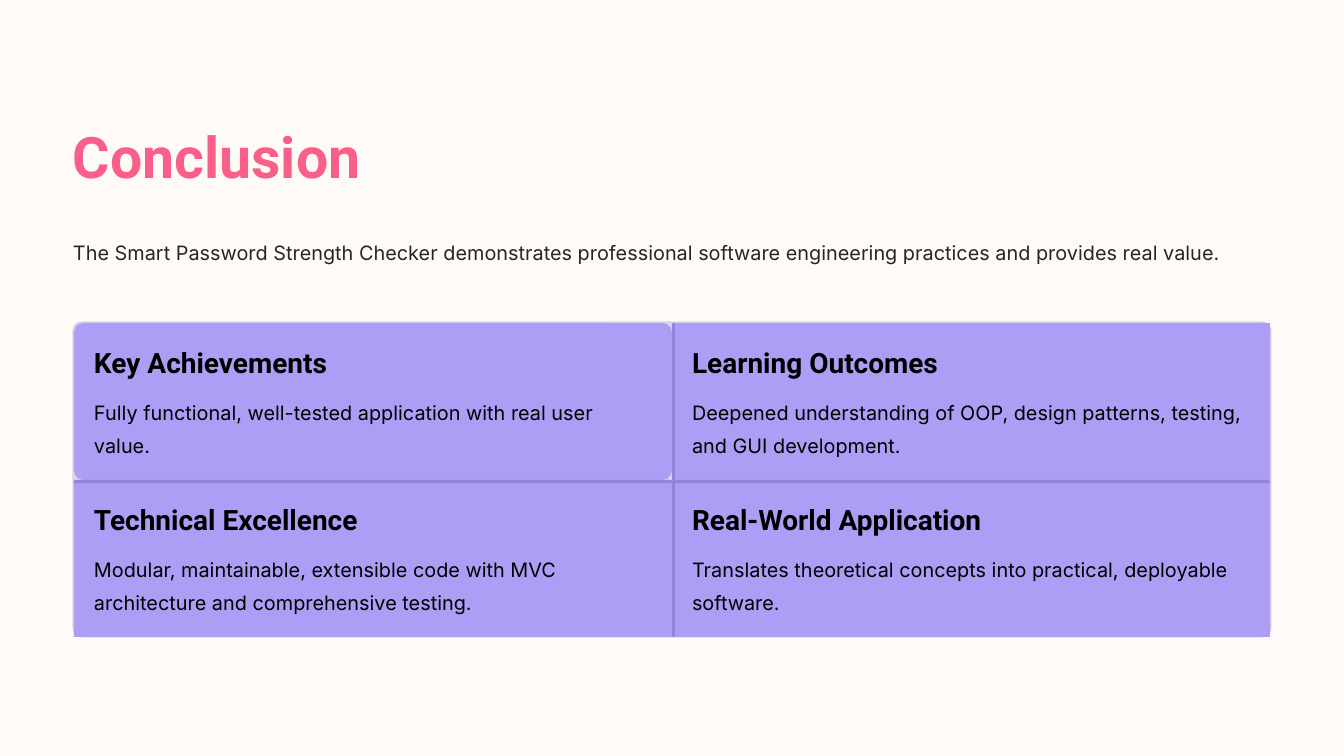
from pptx import Presentation
from pptx import util as u
from pptx.dml.color import RGBColor
from pptx.enum import shapes, text

COLORS = {
    "background": "FDFAF7",
    "title": "F95F88",
    "intro": "272525",
    "panel": "E0D7F4",
    "border": "C6BDDA",
    "cell": "AC9EF5",
    "divider": "9284DB",
    "ink": "000000",
}


def px(value):
    return u.Emu(round(value * 914400 / 84))


def color(name):
    return RGBColor.from_string(COLORS[name])


class SlideBuilder:
    heading_font = "Roboto"
    body_font = "Inter"

    def __init__(self, slide):
        self.slide = slide
        slide.background.fill.solid()
        slide.background.fill.fore_color.rgb = color("background")

    def block(self, left, top, width, height, fill, corner=0, border=None):
        kind = shapes.MSO_SHAPE.ROUNDED_RECTANGLE if corner else shapes.MSO_SHAPE.RECTANGLE
        block = self.slide.shapes.add_shape(kind, px(left), px(top), px(width), px(height))
        block.shadow.inherit = False
        block.fill.solid()
        block.fill.fore_color.rgb = color(fill)
        if corner:
            block.adjustments[0] = corner
        if border:
            block.line.color.rgb = color(border)
            block.line.width = u.Pt(0.6)
        else:
            block.line.fill.background()

    def label(self, left, top, width, height, words, size, leading, ink, font, bold=False):
        box = self.slide.shapes.add_textbox(px(left), px(top), px(width), px(height))
        frame = box.text_frame
        frame.margin_left = frame.margin_right = frame.margin_top = frame.margin_bottom = 0
        frame.word_wrap = True
        frame.auto_size = text.MSO_AUTO_SIZE.SHAPE_TO_FIT_TEXT
        frame.text = words
        paragraph = frame.paragraphs[0]
        paragraph.line_spacing = u.Pt(leading)
        style = paragraph.runs[0].font
        style.name, style.size, style.bold = font, u.Pt(size), bold
        style.color.rgb = color(ink)

    def heading(self, left, top, width, height, words, size, leading, ink):
        self.label(left, top, width, height, words, size, leading, ink, self.heading_font, True)

    def body(self, left, top, width, height, words, ink):
        self.label(left, top, width, height, words, 17, 28, ink, self.body_font)


def main():
    deck = Presentation()
    deck.slide_width, deck.slide_height = px(1344), px(756)
    page = SlideBuilder(deck.slides.add_slide(deck.slide_layouts[6]))

    page.heading(73, 119, 312, 70, "Conclusion", 49, 61, "title")
    page.body(73, 232, 1198, 31,
              "The Smart Password Strength Checker demonstrates professional software "
              "engineering practices and provides real value.", "intro")
    page.block(73, 322, 1198, 315, "panel", 0.028, "border")

    conclusions = [
        ("Key Achievements", 249, 31,
         "Fully functional, well-tested application with real user value."),
        ("Learning Outcomes", 264, 63,
         "Deepened understanding of OOP, design patterns, testing, and GUI development."),
        ("Technical Excellence", 281, 63,
         "Modular, maintainable, extensible code with MVC architecture and comprehensive testing."),
        ("Real-World Application", 307, 63,
         "Translates theoretical concepts into practical, deployable software."),
    ]
    cell_width, cell_height, rule = 598, 157, 3
    for index, (topic, topic_width, detail_height, detail) in enumerate(conclusions):
        row, column = divmod(index, 2)
        left, top = 74 + column * cell_width, 323 + row * cell_height
        page.block(left, top, cell_width, cell_height, "cell", 0.06 if index == 0 else 0)
        if column:
            page.block(left, top, rule, cell_height, "divider", 0.5)
        if row:
            page.block(left, top, cell_width, rule, "divider", 0.5)
        page.heading(left + 20, top + 21, topic_width, 34, topic, 24, 30, "ink")
        page.body(left + 20, top + 69, 557, detail_height, detail, "ink")

    deck.save("out.pptx")


if __name__ == "__main__":
    main()
